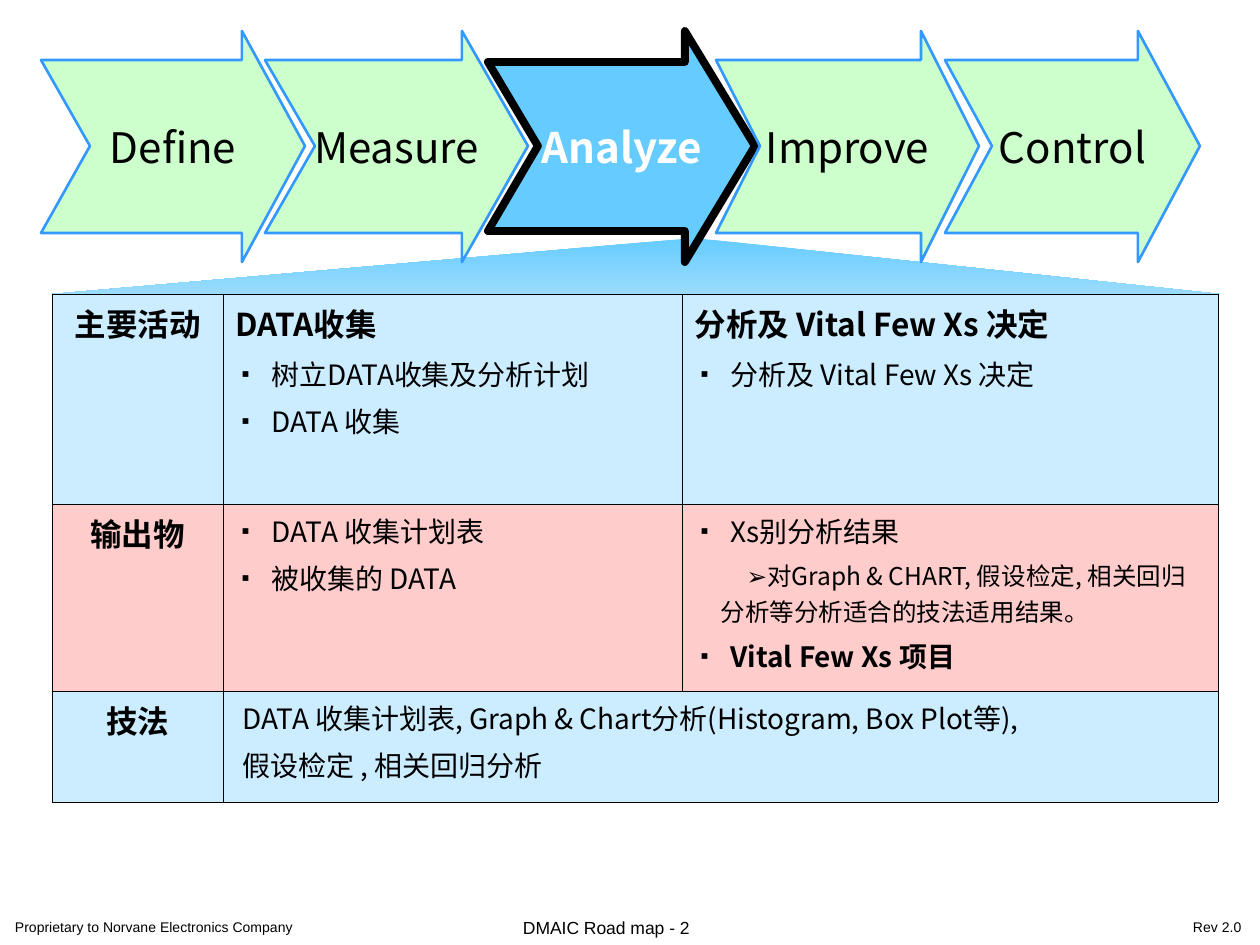
from dataclasses import dataclass

from lxml import etree
from pptx import Presentation
from pptx.dml.color import RGBColor
from pptx.enum.text import MSO_ANCHOR, PP_ALIGN
from pptx.oxml.ns import qn
from pptx.util import Pt

PX = 914400 / 126
CENTER, LEFT = PP_ALIGN.CENTER, PP_ALIGN.LEFT
MIDDLE = MSO_ANCHOR.MIDDLE


@dataclass(frozen=True)
class Theme:
    body_font: str = "Noto Sans CJK SC"
    footer_font: str = "Arial"
    black: str = "000000"
    white: str = "FFFFFF"
    step_fill: str = "CCFFCC"
    step_line: str = "3399FF"
    active_fill: str = "66CCFF"
    beam_end: str = "9ADCFE"
    blue_row: str = "CCECFF"
    pink_row: str = "FFCCCC"
    step_size: int = 24
    head_size: int = 18
    item_size: int = 16
    sub_size: int = 14
    border: float = 0.45


T = Theme()

# Paragraph styles: size, bold, alignment, space before, left margin px, indent px, bullet
STYLES = {
    "label": (T.head_size, True, CENTER, 4.5, 0, 0, None),
    "head": (T.head_size, True, LEFT, 4.5, 0, 0, None),
    "item": (T.item_size, False, LEFT, 4, 36, -36, ("▪", 75)),
    "strong": (T.item_size, True, LEFT, 4, 36, -36, ("▪", 75)),
    "sub": (T.sub_size, False, LEFT, 3.5, 26, 26, ("➢", 100)),
    "plain": (T.item_size, False, LEFT, 4, 7, 0, None),
}

# Name, left, notch, neck and tip of each arrow, back to front
STEPS = [
    ("Define", 0, 49, 201, 264),
    ("Analyze", 447, 497, 644, 714),
    ("Measure", 224, 274, 421, 487),
    ("Improve", 675, 719, 880, 938),
    ("Control", 904, 951, 1097, 1159),
]
ACTIVE_STEP = "Analyze"

COLUMNS = [171, 459, 536]
ROWS = [
    (210, T.blue_row, [
        [("label", "主要活动")],
        [("head", "DATA收集"), ("item", "树立DATA收集及分析计划"), ("item", "DATA 收集")],
        [("head", "分析及 Vital Few Xs 决定"), ("item", "分析及 Vital Few Xs 决定")],
    ]),
    (187, T.pink_row, [
        [("label", "输出物")],
        [("item", "DATA 收集计划表"), ("item", "被收集的 DATA")],
        [("item", "Xs别分析结果"),
         ("sub", "对Graph & CHART, 假设检定, 相关回归分析等分析适合的技法适用结果。"),
         ("strong", "Vital Few Xs 项目")],
    ]),
    (111, T.blue_row, [
        [("label", "技法")],
        [("plain", "DATA 收集计划表, Graph & Chart分析(Histogram, Box Plot等),"),
         ("plain", "假设检定 , 相关回归分析")],
    ]),
]

# Left, top, width, size and text of each footer note
FOOTERS = [
    (0, 2, 404, 8, "Proprietary to Norvane Electronics Company"),
    (508, 0, 267, 10, "DMAIC Road map - 2"),
    (1178, 2, 82, 8, "Rev 2.0"),
]


def px(n):
    return round(n * PX)


def rgb(value):
    return RGBColor.from_string(value)


def format_runs(p, size, color, font, bold=False):
    for r in p.runs:
        r.font.size, r.font.bold, r.font.name = Pt(size), bold, font
        r.font.color.rgb = rgb(color)
        etree.SubElement(r._r.get_or_add_rPr(), qn("a:ea"), typeface=font)


def add_outline(slide, box, points):
    """Closed polygon whose points are relative to the box."""
    x, y = box[:2]
    moved = [(x + a, y + b) for a, b in points]
    builder = slide.shapes.build_freeform(*moved[0], scale=PX)
    builder.add_line_segments(moved[1:], close=True)
    s = builder.convert_to_shape()
    s.shadow.inherit = False
    return s


def add_beam(slide, box):
    w, h = box[2:]
    s = add_outline(slide, box, [(642, 0), (0, h), (w, h)])
    s.fill.gradient()
    s.fill.gradient_angle = 270
    for stop, color in zip(s.fill.gradient_stops, (T.active_fill, T.beam_end)):
        stop.color.rgb = rgb(color)
    s.line.fill.background()


def add_steps(slide, box):
    h = box[3]
    for name, left, notch, neck, tip in STEPS:
        active = name == ACTIVE_STEP
        top = 31 if active else 29
        s = add_outline(slide, box, [
            (left, top), (neck, top), (neck, 0), (tip, h / 2),
            (neck, h), (neck, h - top), (left, h - top), (notch, h / 2)])
        s.fill.solid()
        s.fill.fore_color.rgb = rgb(T.active_fill if active else T.step_fill)
        s.line.color.rgb = rgb(T.black if active else T.step_line)
        s.line.width = Pt(4.5 if active else 1.5)
        tf = s.text_frame
        tf.text, tf.word_wrap, tf.vertical_anchor = name, False, MIDDLE
        p = tf.paragraphs[0]
        p.alignment = CENTER
        format_runs(p, T.step_size, T.white if active else T.black, T.body_font, active)


def add_bullet(pPr, char, percent):
    color = etree.SubElement(pPr, qn("a:buClr"))
    etree.SubElement(color, qn("a:srgbClr"), val=T.black)
    etree.SubElement(pPr, qn("a:buSzPct"), val=str(percent * 1000))
    etree.SubElement(pPr, qn("a:buFont"), typeface=T.body_font)
    etree.SubElement(pPr, qn("a:buChar"), char=char)


def fill_cell(cell, color, content):
    tf = cell.text_frame
    for i, (style, text) in enumerate(content):
        size, bold, align, before, margin, indent, bullet = STYLES[style]
        p = tf.add_paragraph() if i else tf.paragraphs[0]
        p.text, p.alignment = text, align
        if i:
            p.space_before = Pt(before)
        pPr = p._p.get_or_add_pPr()
        pPr.set("marL", str(px(margin)))
        pPr.set("indent", str(px(indent)))
        if bullet:
            add_bullet(pPr, *bullet)
        format_runs(p, size, T.black, T.body_font, bold)
    cell.fill.solid()
    cell.fill.fore_color.rgb = rgb(color)
    # Cell borders precede the fill
    tcPr = cell._tc.get_or_add_tcPr()
    for i, side in enumerate(("lnL", "lnR", "lnT", "lnB")):
        line = etree.Element(qn("a:" + side), w=str(Pt(T.border)))
        fill = etree.SubElement(line, qn("a:solidFill"))
        etree.SubElement(fill, qn("a:srgbClr"), val=T.black)
        tcPr.insert(i, line)


def add_activity_table(slide, box):
    frame = slide.shapes.add_table(len(ROWS), len(COLUMNS), *map(px, box))
    table = frame.table
    table.first_row = table.horz_banding = False
    for column, width in zip(table.columns, COLUMNS):
        column.width = px(width)
    for r, (height, color, contents) in enumerate(ROWS):
        table.rows[r].height = px(height)
        for c in range(len(COLUMNS)):
            fill_cell(table.cell(r, c), color, contents[c] if c < len(contents) else [])
    table.cell(2, 1).merge(table.cell(2, 2))


def add_footer(slide, box):
    x, y, _, h = box
    for left, top, width, size, text in FOOTERS:
        s = slide.shapes.add_textbox(px(x + left), px(y + top), px(width), px(h - top))
        tf = s.text_frame
        tf.text, tf.word_wrap = text, True
        tf.margin_left, tf.margin_right = px(15), 0
        tf.margin_top = tf.margin_bottom = px(8)
        format_runs(tf.paragraphs[0], size, T.black, T.footer_font)


def main():
    prs = Presentation()
    prs.slide_width, prs.slide_height = px(1260), px(945)
    slide = prs.slides.add_slide(prs.slide_layouts[6])
    add_footer(slide, (0, 909, 1260, 36))
    add_beam(slide, (52, 238, 1168, 56))
    add_steps(slide, (41, 31, 1159, 231))
    add_activity_table(slide, (52, 294, sum(COLUMNS), sum(row[0] for row in ROWS)))
    prs.save("out.pptx")


if __name__ == "__main__":
    main()
